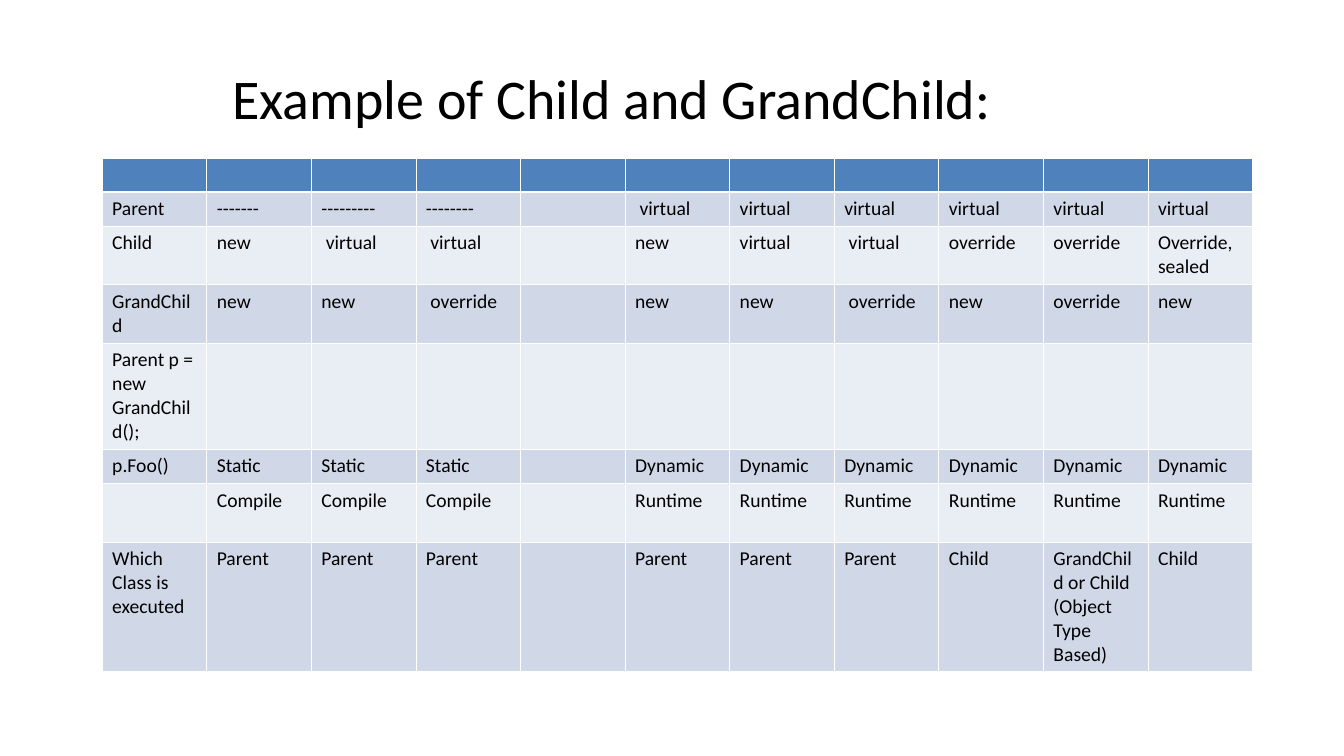
from lxml import etree
from pptx import Presentation
from pptx.dml.color import RGBColor
from pptx.oxml.ns import qn
from pptx.util import Inches, Pt

BLACK = RGBColor(0x00, 0x00, 0x00)
WHITE = RGBColor(0xFF, 0xFF, 0xFF)
HEADER_BLUE = RGBColor(0x4F, 0x81, 0xBD)
DARK_BAND = RGBColor(0xD0, 0xD8, 0xE8)
LIGHT_BAND = RGBColor(0xE9, 0xED, 0xF4)

COLUMN_COUNT = 11
TABLE_WIDTH = 17.12
ROW_HEIGHTS = [0.51, 0.51, 0.87, 0.87, 1.58, 0.51, 0.87, 1.9]
ROWS = [
    [""] * COLUMN_COUNT,
    ["Parent", "-------", "---------", "--------", "", " virtual"] + ["virtual"] * 5,
    ["Child", "new", " virtual", " virtual", "", "new", "virtual", " virtual",
     "override", "override", "Override, sealed"],
    ["GrandChild", "new", "new", " override", "", "new", "new", " override",
     "new", "override", "new"],
    ["Parent p = new GrandChild();"] + [""] * 10,
    ["p.Foo()"] + ["Static"] * 3 + [""] + ["Dynamic"] * 6,
    [""] + ["Compile"] * 3 + [""] + ["Runtime"] * 6,
    ["Which Class is executed"] + ["Parent"] * 3 + [""] + ["Parent"] * 3
    + ["Child", "GrandChild or Child\n(Object Type Based)", "Child"],
]


class SlideBuilder:
    font = "Calibri"
    title_size = Pt(60)
    cell_size = Pt(21)

    def __init__(self, slide):
        self.slide = slide

    def add_text(self, frame, text, size):
        frame.word_wrap = True
        for index, line in enumerate(text.split("\n")):
            para = frame.add_paragraph() if index else frame.paragraphs[0]
            para.font.size = size
            if line:
                span = para.add_run()
                span.text = line
                span.font.name = self.font
                span.font.size = size
                span.font.bold = False
                span.font.color.rgb = BLACK

    def title(self, text, left, top, width, height):
        box = self.slide.shapes.add_textbox(
            Inches(left), Inches(top), Inches(width), Inches(height))
        self.add_text(box.text_frame, text, self.title_size)

    def borders(self, cell, bottom_width):
        properties = cell._tc.get_or_add_tcPr()
        widths = {"a:lnL": 1, "a:lnR": 1, "a:lnT": 1, "a:lnB": bottom_width}
        for position, (tag, width) in enumerate(widths.items()):
            line = etree.Element(qn(tag), w=str(Pt(width)))
            fill = etree.SubElement(line, qn("a:solidFill"))
            etree.SubElement(fill, qn("a:srgbClr"), val=str(WHITE))
            properties.insert(position, line)

    def cell(self, cell, text, color, bottom_width):
        cell.margin_left = cell.margin_right = Inches(0.15)
        cell.margin_top = cell.margin_bottom = Inches(0.07)
        cell.fill.solid()
        cell.fill.fore_color.rgb = color
        self.borders(cell, bottom_width)
        self.add_text(cell.text_frame, text, self.cell_size)

    def table(self, rows, heights, left, top, width):
        table = self.slide.shapes.add_table(
            len(rows), COLUMN_COUNT, Inches(left), Inches(top),
            Inches(width), Inches(sum(heights))).table
        table.horz_banding = False
        for column in table.columns:
            column.width = Inches(width / COLUMN_COUNT)
        for index, (texts, height) in enumerate(zip(rows, heights)):
            table.rows[index].height = Inches(height)
            band = DARK_BAND if index % 2 else LIGHT_BAND
            color = band if index else HEADER_BLUE
            for column, text in enumerate(texts):
                self.cell(table.cell(index, column), text, color, 1 if index else 3)


def main():
    deck = Presentation()
    deck.slide_width = Inches(20)
    deck.slide_height = Inches(11.25)
    page = SlideBuilder(deck.slides.add_slide(deck.slide_layouts[6]))
    page.table(ROWS, ROW_HEIGHTS, 1.52, 2.35, TABLE_WIDTH)
    page.title("Example of Child and GrandChild:", 3.36, 0.9, 13.88, 1.11)
    deck.save("out.pptx")


if __name__ == "__main__":
    main()
